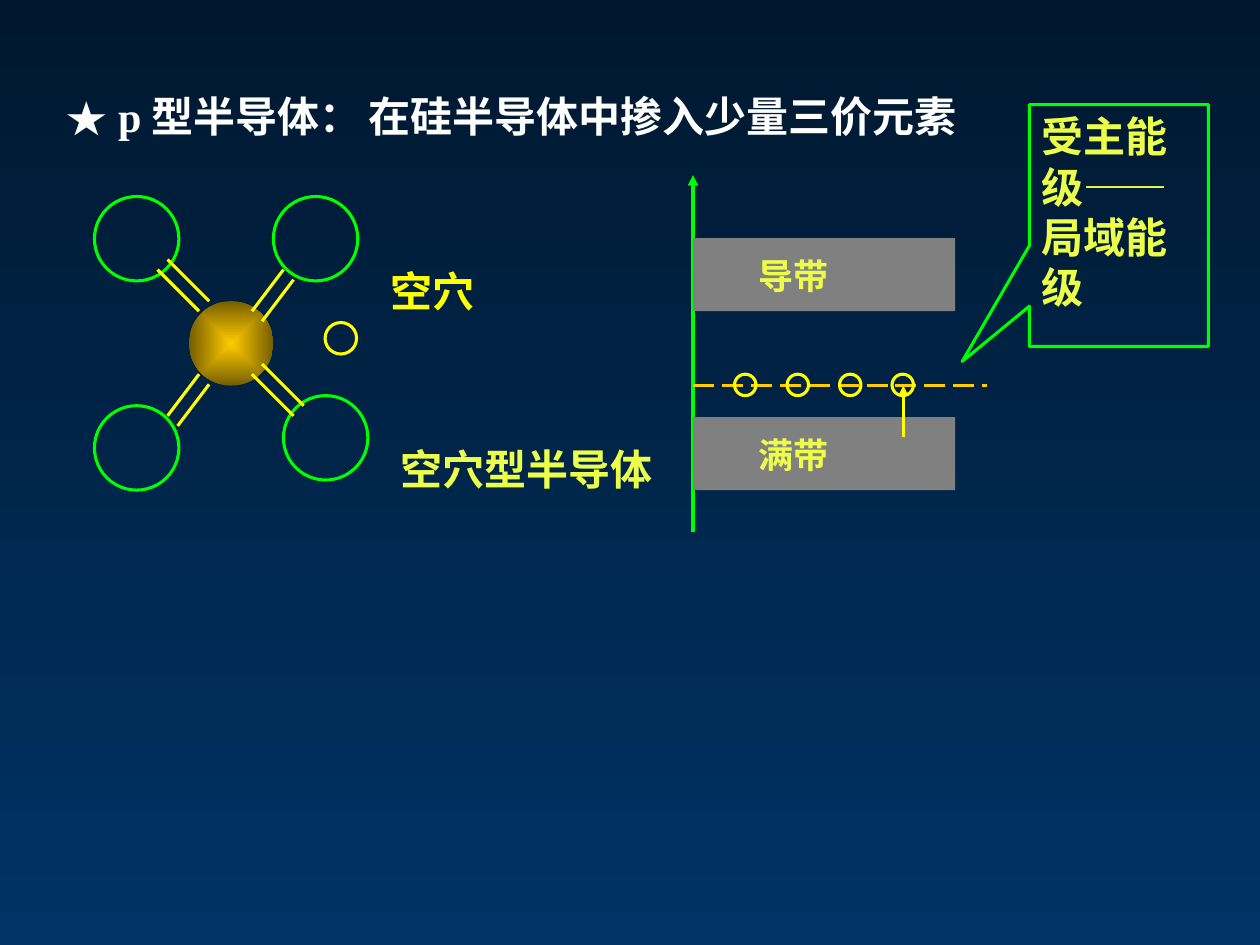
import pptx
import pptx.util
import pptx.dml.color
import pptx.enum.dml
import pptx.enum.shapes
import pptx.enum.text
import lxml.etree
from pptx.util import Inches

COLORS = {
    "night": "00182F", "navy": "003366", "white": "FFFFFF", "green": "00FF00",
    "yellow": "FFFF00", "lemon": "EDFE4A", "gold": "FFCC00", "bronze": "765E00",
    "gray": "808080",
}
RGB = {name: pptx.dml.color.RGBColor.from_string(value) for name, value in COLORS.items()}
SHAPE = pptx.enum.shapes.MSO_SHAPE
DRAWING = "{http://schemas.openxmlformats.org/drawingml/2006/main}"


def add_outline(shapes, kind, left, top, width, height, color):
    shape = shapes.add_shape(kind, Inches(left), Inches(top), Inches(width), Inches(height))
    shape.shadow.inherit = False
    shape.fill.background()
    shape.line.color.rgb = RGB[color]
    shape.line.width = pptx.util.Pt(1.75)
    return shape


def add_line(shapes, x1, y1, x2, y2, color, arrow=False):
    connector = shapes.add_connector(
        pptx.enum.shapes.MSO_CONNECTOR.STRAIGHT, Inches(x1), Inches(y1), Inches(x2), Inches(y2))
    connector.line.color.rgb = RGB[color]
    connector.line.width = pptx.util.Pt(1.75)
    if arrow:
        line_xml = connector.line._get_or_add_ln()
        lxml.etree.SubElement(line_xml, DRAWING + "tailEnd", type="triangle")
    lxml.etree.SubElement(connector._element.spPr, DRAWING + "effectLst")
    return connector


presentation = pptx.Presentation()
presentation.slide_width = Inches(10)
presentation.slide_height = Inches(7.5)
slide = presentation.slides.add_slide(presentation.slide_layouts[6])

# Background, dark at the top
background = slide.background.fill
background.gradient()
background.gradient_angle = 270
for stop, color, position in zip(background.gradient_stops, ("night", "navy"), (0, 1)):
    stop.color.rgb = RGB[color]
    stop.position = position

# Impurity atom with a golden glow
crystal = slide.shapes.add_group_shape().shapes
atom_size = 0.67
impurity = add_outline(crystal, SHAPE.OVAL, 1.5, 2.39, atom_size, atom_size, "gold")
impurity.line.fill.background()
impurity.fill.gradient()
for stop, color, position in zip(impurity.fill.gradient_stops, ("gold", "bronze"), (0, 1)):
    stop.color.rgb = RGB[color]
    stop.position = position
gradient = impurity._element.spPr.find(DRAWING + "gradFill")
gradient.remove(gradient.find(DRAWING + "lin"))
center = lxml.etree.SubElement(gradient, DRAWING + "path")
center.set("path", "shape")
lxml.etree.SubElement(center, DRAWING + "fillToRect", l="50000", t="50000", r="50000", b="50000")

# Silicon neighbours
for left, top in ((0.75, 3.22), (0.75, 1.56), (2.17, 1.56), (2.25, 3.14)):
    add_outline(crystal, SHAPE.OVAL, left, top, atom_size, atom_size, "green")

# Double bonds: start, run across, and the side the second line lies on
bond_gap = 0.08
for x, y, run, side in ((1.25, 2.14, 0.33, -1), (2, 2.97, 0.33, -1),
                        (2.25, 2.14, -0.25, 1), (1.58, 2.97, -0.25, 1)):
    for offset in (0, bond_gap):
        start_x, start_y = x + offset, y + side * offset
        add_line(crystal, start_x, start_y, start_x + run, start_y + 0.33, "yellow")

# Hole beside the impurity
add_outline(slide.shapes, SHAPE.OVAL, 2.58, 2.56, 0.25, 0.25, "yellow")

# Energy axis and bands
add_line(slide.shapes, 5.5, 4.22, 5.5, 1.39, "green", arrow=True)
labels = [
    (slide.shapes, "★ p 型半导体：", 0.42, 0.67, 8.58, 0.5, 24, "white"),
    (slide.shapes, "在硅半导体中掺入少量三价元素", 2.83, 0.67, 5.67, 0.5, 24, "white"),
    (slide.shapes, "空穴", 3, 2.06, 2.08, 0.5, 24, "yellow"),
    (slide.shapes, "空穴型半导体", 3.08, 3.47, 3.36, 0.5, 24, "lemon"),
]
for name, top in (("满带", 3.31), ("导带", 1.89)):
    band_group = slide.shapes.add_group_shape().shapes
    band = add_outline(band_group, SHAPE.RECTANGLE, 5.5, top, 2.08, 0.58, "gray")
    band.line.fill.background()
    band.fill.solid()
    band.fill.fore_color.rgb = RGB["gray"]
    labels.append((band_group, name, 5.92, top + 0.08, 1.42, 0.43, 20, "lemon"))

# Acceptor level with its holes and the excitation arrow
level_y = 3.06
level = add_line(slide.shapes, 5.5, level_y, 7.83, level_y, "gold")
level.line.width = pptx.util.Pt(1.5)
level.line.dash_style = pptx.enum.dml.MSO_LINE.LONG_DASH
callout = add_outline(slide.shapes, SHAPE.RECTANGULAR_CALLOUT, 8.17, 0.83, 1.42, 1.92, "green")
callout.adjustments[0] = -0.876
callout.adjustments[1] = 0.562
add_line(slide.shapes, 7.17, 3.47, 7.17, level_y, "yellow", arrow=True)
holes = slide.shapes.add_group_shape().shapes
for index in range(4):
    add_outline(holes, SHAPE.OVAL, 5.83 + index * 1.25 / 3, 2.97, 0.17, 0.17, "yellow")

# Text of the labels and the callout
texts = [(callout, "受主能级——局域能级", 24, "lemon")]
for shapes, words, left, top, width, height, size, color in labels:
    box = shapes.add_textbox(Inches(left), Inches(top), Inches(width), Inches(height))
    box.text_frame.auto_size = pptx.enum.text.MSO_AUTO_SIZE.SHAPE_TO_FIT_TEXT
    texts.append((box, words, size, color))
for shape, words, size, color in texts:
    shape.text_frame.word_wrap = True
    shape.text_frame.vertical_anchor = pptx.enum.text.MSO_ANCHOR.TOP
    paragraph = shape.text_frame.paragraphs[0]
    paragraph.alignment = pptx.enum.text.PP_ALIGN.LEFT
    run = paragraph.add_run()
    run.text = words
    run.font.name = "Times New Roman"
    run.font.size = pptx.util.Pt(size)
    run.font.bold = True
    run.font.color.rgb = RGB[color]

presentation.save("out.pptx")
